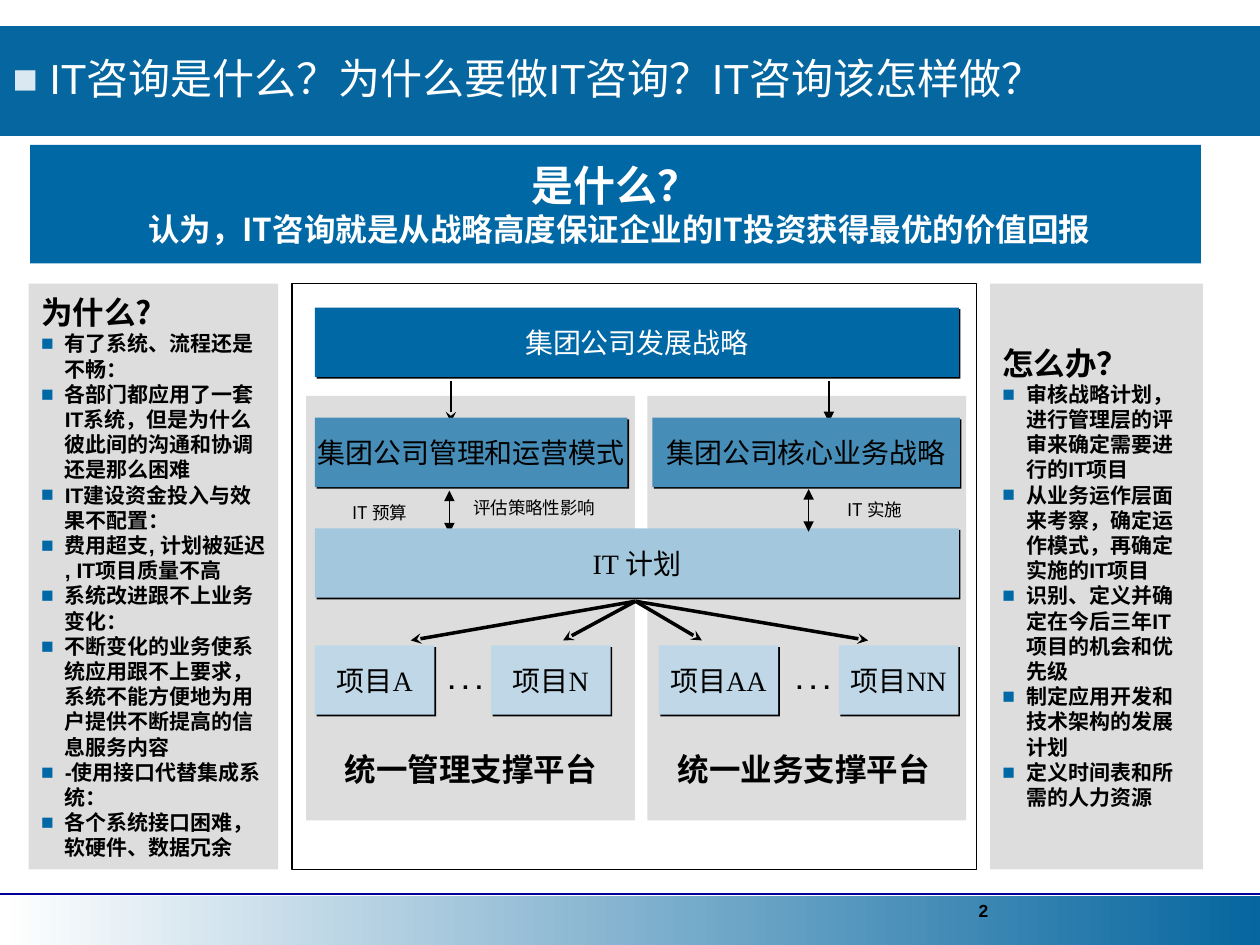
from collections import namedtuple

from lxml.etree import SubElement
from pptx import Presentation
from pptx.dml.color import RGBColor
from pptx.enum.shapes import MSO_CONNECTOR, MSO_SHAPE
from pptx.enum.text import MSO_ANCHOR, MSO_AUTO_SIZE, PP_ALIGN
from pptx.oxml.ns import qn
from pptx.util import Cm, Pt

COLORS = {
    "white": "FFFFFF", "black": "000000", "header": "06669F", "blue": "0068A5",
    "middle": "468EB8", "light": "A3C7DC", "pale": "BFD7E6", "gray": "DDDDDD",
    "title_bullet": "DAE8F1", "navy": "000099",
}
SANS, ARIAL, SERIF = "Noto Sans CJK SC", "Arial", "Times New Roman"

# All lengths are in centimetres
Box = namedtuple("Box", "left top width height")

HEADING = {"size": 18, "name": SANS, "bold": True}
BULLET = {"size": 12, "name": ARIAL, "bold": True}
NODE = {"size": 16, "name": SERIF}
NOTE = {"size": 10, "name": SANS}
DOTS = {"size": 14, "name": ARIAL, "bold": True}
PLATFORM = {"size": 18, "name": SERIF, "bold": True}

REASONS = [
    "有了系统、流程还是不畅：",
    "各部门都应用了一套IT系统，但是为什么彼此间的沟通和协调还是那么困难",
    "IT建设资金投入与效果不配置：",
    "费用超支, 计划被延迟 , IT项目质量不高",
    "系统改进跟不上业务变化：",
    "不断变化的业务使系统应用跟不上要求，系统不能方便地为用户提供不断提高的信息服务内容",
    "-使用接口代替集成系统：",
    "各个系统接口困难，软硬件、数据冗余",
]
ACTIONS = [
    "审核战略计划，进行管理层的评审来确定需要进行的IT项目",
    "从业务运作层面来考察，确定运作模式，再确定实施的IT项目",
    "识别、定义并确定在今后三年IT项目的机会和优先级",
    "制定应用开发和技术架构的发展计划",
    "定义时间表和所需的人力资源",
]


def rgb(color):
    return RGBColor.from_string(COLORS[color])


def inside(box, left, top, width, height):
    return Box(box.left + left, box.top + top, width, height)


def write(para, text, style, color="black", **layout):
    span = para.add_run()
    span.text = text
    for key, value in style.items():
        setattr(span.font, key, Pt(value) if key == "size" else value)
    span.font.color.rgb = rgb(color)
    SubElement(span._r.get_or_add_rPr(), qn("a:ea"), typeface=SANS)
    for key, value in layout.items():
        setattr(para, key, value)


def hang(para, indent, bullet_color=None):
    properties = para._p.get_or_add_pPr()
    properties.set("marL", str(Cm(indent)))
    properties.set("indent", str(-Cm(indent)))
    if bullet_color:
        color = SubElement(properties, qn("a:buClr"))
        SubElement(color, qn("a:srgbClr"), val=COLORS[bullet_color])
        SubElement(properties, qn("a:buFont"), typeface=ARIAL)
        SubElement(properties, qn("a:buChar"), char="■")


def add_rectangle(page, box, fill=None, line=None):
    shape = page.shapes.add_shape(MSO_SHAPE.RECTANGLE, *map(Cm, box))
    shape.shadow.inherit = False
    if fill:
        shape.fill.solid()
        shape.fill.fore_color.rgb = rgb(fill)
    else:
        shape.fill.background()
    if line:
        shape.line.color.rgb = rgb(line)
        shape.line.width = Pt(0.75)
    else:
        shape.line.fill.background()
    shape.text_frame.vertical_anchor = MSO_ANCHOR.MIDDLE
    return shape


def add_label(page, box, text, style, wrap=False, **layout):
    frame = page.shapes.add_textbox(*map(Cm, box)).text_frame
    frame.word_wrap = wrap
    frame.auto_size = MSO_AUTO_SIZE.SHAPE_TO_FIT_TEXT
    write(frame.paragraphs[0], text, style, **layout)


def add_line(page, box, start, end, color="black", width=1, head=None, tail=None):
    points = [box.left + start[0], box.top + start[1], box.left + end[0], box.top + end[1]]
    line = page.shapes.add_connector(MSO_CONNECTOR.STRAIGHT, *map(Cm, points))
    line.line.color.rgb = rgb(color)
    line.line.width = Pt(width)
    outline = line.line._get_or_add_ln()
    for end_tag, arrow in (("a:headEnd", head), ("a:tailEnd", tail)):
        if arrow:
            SubElement(outline, qn(end_tag), type=arrow)
    SubElement(line._element.spPr, qn("a:effectLst"))


def add_node(page, box, text, fill, color="black"):
    node = add_rectangle(page, box, fill)
    effects = node._element.spPr.find(qn("a:effectLst"))
    shadow = SubElement(effects, qn("a:outerShdw"), blurRad="0", dist=str(Pt(1.4)),
                        dir="2700000", algn="ctr", rotWithShape="0")
    SubElement(shadow, qn("a:srgbClr"), val=COLORS["black"])
    node.text_frame.word_wrap = False
    write(node.text_frame.paragraphs[0], text, NODE, color, alignment=PP_ALIGN.CENTER)


def add_header(page, box):
    title = page.shapes.title
    band = add_rectangle(page, box, "header")
    title._element.addprevious(band._element)
    place = inside(box, 0, 0, 24.13, box.height)
    for key, value in place._asdict().items():
        setattr(title, key, Cm(value))
    title.text_frame.vertical_anchor = MSO_ANCHOR.MIDDLE
    title.text_frame.auto_size = MSO_AUTO_SIZE.NONE
    para = title.text_frame.paragraphs[0]
    para.line_spacing = 0.9
    hang(para, 0.74, "title_bullet")
    write(para, "IT咨询是什么？为什么要做IT咨询？IT咨询该怎样做？",
          {"size": 24, "name": ARIAL}, "white", alignment=PP_ALIGN.LEFT)


def add_footer(page, box, number):
    band = add_rectangle(page, box)
    band.fill.gradient()
    band.fill.gradient_angle = 0
    for stop, position, color in zip(band.fill.gradient_stops, (0, 1), ("white", "header")):
        stop.position = position
        stop.color.rgb = rgb(color)
    add_line(page, box, (0, -0.03), (box.width, -0.03), "navy")
    add_label(page, inside(box, 19.48, -0.05, 5.92, 0.91), number,
              {"size": 10, "name": ARIAL, "bold": True}, wrap=True)


def add_banner(page, box):
    frame = add_rectangle(page, box, "blue").text_frame
    write(frame.paragraphs[0], "是什么？", {**HEADING, "size": 24}, "white",
          alignment=PP_ALIGN.CENTER)
    write(frame.add_paragraph(), " 认为，IT咨询就是从战略高度保证企业的IT投资获得最优的价值回报",
          HEADING, "white", alignment=PP_ALIGN.CENTER)


def add_side_panel(page, box, heading, points):
    frame = add_rectangle(page, box, "gray").text_frame
    hang(frame.paragraphs[0], 0.48)
    write(frame.paragraphs[0], heading, HEADING, alignment=PP_ALIGN.LEFT)
    for point in points:
        para = frame.add_paragraph()
        hang(para, 0.48, "blue")
        write(para, point, BULLET, alignment=PP_ALIGN.LEFT)


def add_diagram(page, box):
    add_rectangle(page, box, line="black")
    node_left, full_width, node_height = 0.46, 12.98, 1.4

    # Platform panels with their captions
    for left, width, caption_left, caption in ((0.28, 6.63, 0.61, "统一管理支撑平台"),
                                               (7.16, 6.43, 7.32, "统一业务支撑平台")):
        add_rectangle(page, inside(box, left, 2.26, width, 8.56), "gray")
        add_label(page, inside(box, caption_left, 9.27, 5.99, 1.02), caption, PLATFORM,
                  wrap=True, alignment=PP_ALIGN.CENTER)

    # Arrows that run behind the nodes
    for x, arrow in ((3.2, "stealth"), (10.82, "triangle")):
        add_line(page, box, (x, 1.96), (x, 2.79), tail=arrow)
    for x in (2.39, 5.46, 8.26, 11.61):
        add_line(page, box, (6.92, 6.4), (x, 7.19), width=2, tail="stealth")
    add_line(page, box, (3.17, 4.17), (3.17, 5.03), head="triangle", tail="triangle")

    # Strategy, operation and plan nodes
    for left, top, width, text, fill, color in (
        (node_left, 0.48, full_width, "集团公司发展战略", "blue", "white"),
        (node_left, 2.7, 6.3, "集团公司管理和运营模式", "middle", "black"),
        (7.26, 2.7, 6.2, "集团公司核心业务战略", "middle", "black"),
        (node_left, 4.93, full_width, "IT 计划", "light", "black"),
    ):
        add_node(page, inside(box, left, top, width, node_height), text, fill, color)
    add_line(page, box, (10.41, 4.14), (10.41, 5), head="triangle", tail="triangle")

    # Project row
    for left, text in ((node_left, "项目A"), (4.01, "项目N"), (7.39, "项目AA"), (11.02, "项目NN")):
        add_node(page, inside(box, left, 7.29, 2.41, node_height), text, "pale")
    for left in (2.9, 9.91):
        add_label(page, inside(box, left, 7.57, 1.19, 0.86), ". . .", DOTS,
                  alignment=PP_ALIGN.CENTER)

    # Notes beside the double arrows
    for left, top, width, text in ((0.97, 4.32, 1.93, "IT 预算"), (3.4, 4.22, 2.97, "评估策略性影响"),
                                   (10.95, 4.27, 1.93, "IT 实施")):
        add_label(page, inside(box, left, top, width, 0.64), text, NOTE, line_spacing=0.9)


def main():
    deck = Presentation()
    deck.slide_width, deck.slide_height = Cm(25.4), Cm(19.05)
    page = deck.slides.add_slide(deck.slide_layouts.get_by_name("Title Only"))
    add_header(page, Box(0, 0.53, 25.4, 2.21))
    add_footer(page, Box(0, 18.06, 25.4, 1.04), "2")
    add_banner(page, Box(0.61, 2.92, 23.6, 2.39))
    add_side_panel(page, Box(0.58, 5.72, 5.03, 11.81), "为什么?", REASONS)
    add_diagram(page, Box(5.89, 5.72, 13.79, 11.81))
    add_side_panel(page, Box(19.96, 5.72, 4.29, 11.81), "怎么办？", ACTIONS)
    deck.save("out.pptx")


if __name__ == "__main__":
    main()
